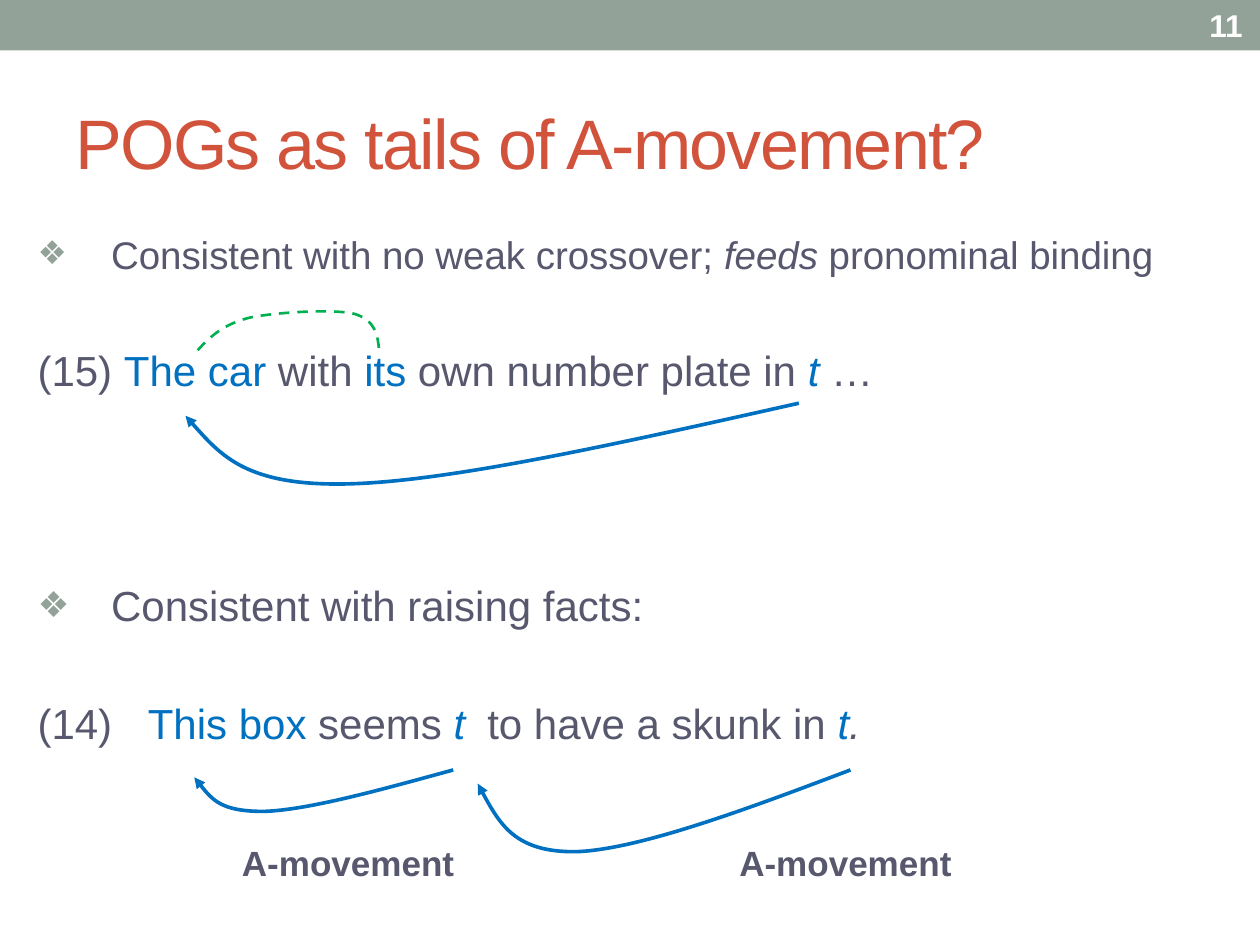
from lxml.etree import SubElement
from pptx import Presentation
from pptx.dml.color import RGBColor
from pptx.enum.dml import MSO_LINE
from pptx.enum.shapes import MSO_SHAPE
from pptx.enum.text import MSO_ANCHOR, MSO_AUTO_SIZE, PP_ALIGN
from pptx.oxml.ns import qn
from pptx.util import Pt

FONT = "Arial"
SAGE, RUST, SLATE = "93A299", "D2533C", "57576E"
BLUE, GREEN, WHITE = "0070C0", "00B050", "FFFFFF"

BODY = [
    {"size": 22, "before": 5, "bullet": True,
     "spans": [("Consistent with no weak crossover; ", SLATE, False),
               ("feeds", SLATE, True),
               (" pronominal binding", SLATE, False)]},
    {"size": 24, "before": 39,
     "spans": [("(15) ", SLATE, False), ("The car", BLUE, False),
               (" with ", SLATE, False), ("its", BLUE, False),
               (" own number plate in ", SLATE, False),
               ("t", BLUE, True), (" …", SLATE, False)]},
    {"size": 24, "before": 105.4, "bullet": True,
     "spans": [("Consistent with raising facts:", SLATE, False)]},
    {"size": 24, "before": 38.4, "tabs": [63, 257],
     "spans": [("(14)\t", SLATE, False), ("This box ", BLUE, False),
               ("seems ", SLATE, False), ("t", BLUE, True),
               ("\tto have a skunk in ", SLATE, False),
               ("t", BLUE, True), (".", SLATE, True)]},
]

MOVEMENT = {"ink": BLUE, "width": 2.08, "arrow": True}
BINDING = {"ink": GREEN, "width": 1.5, "dash": MSO_LINE.DASH}
CURVES = [
    (MOVEMENT, [(456.5, 230.4), (357, 252.7), (258.5, 275), (199.4, 276.5),
                (141, 278), (123.8, 257.8), (106, 237.6)]),
    (BINDING, [(113, 200.2), (120.2, 192.2), (128.2, 185), (143.3, 181.4),
               (157.7, 178.6), (189.4, 176.4), (202.3, 179.3),
               (214.6, 182.9), (216, 191.5), (216.7, 200.9)]),
    (MOVEMENT, [(486, 440), (425.5, 463), (365, 485.3), (329.8, 486.7),
                (294.5, 487.4), (283.7, 468), (273, 447.8)]),
    (MOVEMENT, [(259, 440), (217.4, 451.4), (175.7, 463), (150.5, 463.7),
                (126, 463.7), (118.8, 454.3), (111, 444.2)]),
]


def color(value):
    return RGBColor.from_string(value)


def apply(target, formats):
    for name, value in formats.items():
        setattr(target, name, value)


def add_span(para, text, size, ink, **formats):
    span = para.add_run()
    span.text = text
    apply(span.font, {"name": FONT, "size": Pt(size), **formats})
    span.font.color.rgb = color(ink)
    return span


def add_bullet(properties):
    tint = SubElement(properties, qn("a:buClr"))
    SubElement(tint, qn("a:srgbClr"), val=SAGE)
    SubElement(properties, qn("a:buSzPct"), val="85000")
    SubElement(properties, qn("a:buFont"), typeface=FONT)
    SubElement(properties, qn("a:buChar"), char="❖")
    properties.set("marL", str(Pt(42)))
    properties.set("indent", str(-Pt(42)))


def add_tabs(properties, stops):
    tabs = SubElement(properties, qn("a:tabLst"))
    for stop in stops:
        SubElement(tabs, qn("a:tab"), pos=str(Pt(stop)), algn="l")


def add_band(page, width):
    band = page.shapes.add_shape(MSO_SHAPE.RECTANGLE, 0, 0, width, Pt(28.8))
    band.shadow.inherit = False
    band.fill.solid()
    band.fill.fore_color.rgb = color(SAGE)
    band.line.fill.background()


def add_title(page, text):
    title = page.shapes.title
    apply(title, {"left": Pt(36), "top": Pt(42), "width": Pt(648), "height": Pt(77.8)})
    apply(title.text_frame, {"word_wrap": True, "auto_size": MSO_AUTO_SIZE.NONE,
                             "vertical_anchor": MSO_ANCHOR.MIDDLE})
    para = title.text_frame.paragraphs[0]
    para.alignment = PP_ALIGN.LEFT
    span = add_span(para, text, 40, RUST)
    span.font._element.set("spc", "-100")


def add_body(page):
    frame = page.shapes.add_textbox(Pt(14.4), Pt(128.2), Pt(693.4), Pt(383.8)).text_frame
    frame.word_wrap = True
    for index, line in enumerate(BODY):
        para = frame.add_paragraph() if index else frame.paragraphs[0]
        apply(para, {"alignment": PP_ALIGN.LEFT, "space_before": Pt(line["before"])})
        properties = para._p.get_or_add_pPr()
        if line.get("bullet"):
            add_bullet(properties)
        if "tabs" in line:
            add_tabs(properties, line["tabs"])
        for text, ink, italic in line["spans"]:
            add_span(para, text, line["size"], ink, italic=italic)


def add_label(page, text, left, top, width, height, size, ink):
    box = page.shapes.add_textbox(Pt(left), Pt(top), Pt(width), Pt(height))
    apply(box.text_frame, {"word_wrap": False, "auto_size": MSO_AUTO_SIZE.SHAPE_TO_FIT_TEXT})
    add_span(box.text_frame.paragraphs[0], text, size, ink, bold=True)


def bend_segments(curve):
    lines = list(curve._element.iter(qn("a:lnTo")))
    outline = lines[0].getparent()
    for first in range(0, len(lines), 3):
        bend = SubElement(outline, qn("a:cubicBezTo"))
        for line in lines[first:first + 3]:
            bend.append(line[0])
            outline.remove(line)
    outline.set("fill", "none")


def add_curve(page, points, ink, width, dash=None, arrow=False):
    start, *controls = [(Pt(x), Pt(y)) for x, y in points]
    builder = page.shapes.build_freeform(*start)
    builder.add_line_segments(controls, close=False)
    curve = builder.convert_to_shape()
    bend_segments(curve)
    curve.shadow.inherit = False
    curve.fill.background()
    curve.line.color.rgb = color(ink)
    apply(curve.line, {"width": Pt(width), "dash_style": dash})
    if arrow:
        SubElement(curve.line._get_or_add_ln(), qn("a:tailEnd"), type="triangle")


def main():
    deck = Presentation()
    apply(deck, {"slide_width": Pt(720), "slide_height": Pt(540)})
    page = deck.slides.add_slide(deck.slide_layouts[5])
    add_band(page, deck.slide_width)
    add_title(page, "POGs as tails of A-movement?")
    add_body(page)
    add_label(page, "11", 684, 0, 34.56, 28.8, 18, WHITE)
    for style, points in CURVES:
        add_curve(page, points, **style)
    for left in (415.4, 131.2):
        add_label(page, "A-movement", left, 477.4, 141.8, 31.7, 20, SLATE)
    deck.save("out.pptx")


main()
